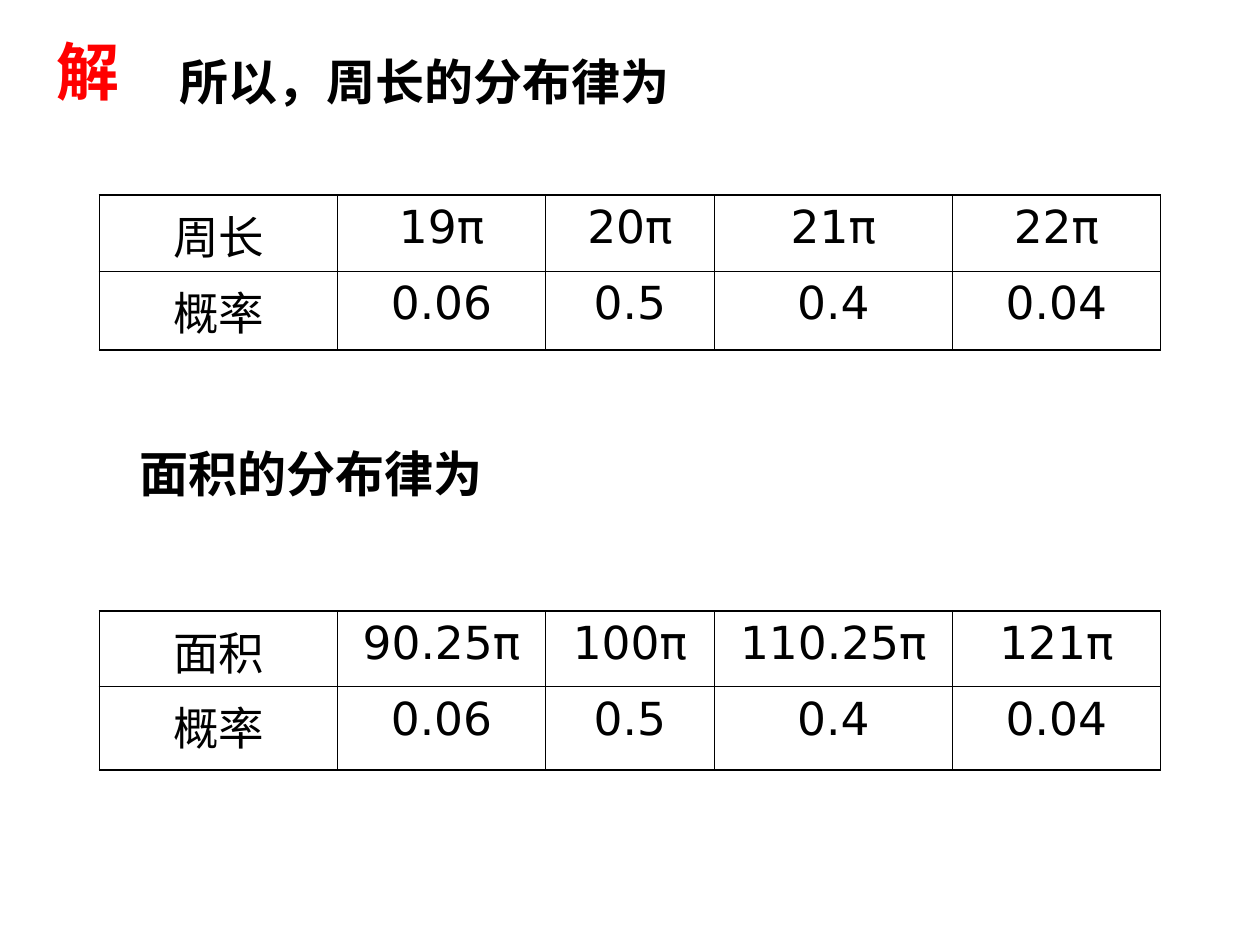
from pptx import Presentation
from pptx.dml.color import RGBColor
from pptx.enum.text import MSO_AUTO_SIZE, PP_ALIGN
from pptx.oxml import parse_xml
from pptx.oxml.ns import nsdecls
from pptx.util import Inches, Pt


def add_run(p, text, size, font, color="000000", bold=False):
    r = p.add_run()
    r.text = text
    r.font.size = Pt(size)
    r.font.bold = bold
    r.font.name = font
    r.font.color.rgb = RGBColor.from_string(color)
    r.font._element.append(parse_xml(
        f'<a:ea {nsdecls("a")} typeface="Noto Sans CJK SC"/>'))


def add_border(cell, i, side, width):
    cell._tc.get_or_add_tcPr().insert(i, parse_xml(
        f'<a:ln{side} {nsdecls("a")} w="{Pt(width)}"><a:solidFill>'
        f'<a:srgbClr val="000000"/></a:solidFill></a:ln{side}>'))


prs = Presentation()
prs.slide_width, prs.slide_height = Inches(10), Inches(7.5)
s = prs.slides.add_slide(prs.slide_layouts[6])

texts = [
    ("解", 0.35, 0.21, 0.79, 0.7, 36, "Noto Sans CJK SC", "FF0000", True),
    ("所以，周长的分布律为", 1.33, 0.36, 4.26, 0.57, 28, "Arial", "000000", False),
    ("面积的分布律为", 1.01, 3.47, 3.09, 0.57, 28, "Arial", "000000", False),
]
for text, x, y, w, h, size, font, color, wrap in texts:
    tf = s.shapes.add_textbox(Inches(x), Inches(y), Inches(w), Inches(h)).text_frame
    tf.word_wrap = wrap
    tf.auto_size = MSO_AUTO_SIZE.SHAPE_TO_FIT_TEXT
    add_run(tf.paragraphs[0], text, size, font, color, True)

col_widths = [1.89, 1.65, 1.34, 1.89, 1.65]
probabilities = ["概率", "0.06", "0.5", "0.4", "0.04"]
tables = [
    (1.55, [0.6, 0.63], ["周长", "19π", "20π", "21π", "22π"]),
    (4.85, [0.6, 0.66], ["面积", "90.25π", "100π", "110.25π", "121π"]),
]
for top, row_heights, values in tables:
    rows = [values, probabilities]
    tbl = s.shapes.add_table(
        len(rows), len(col_widths), Inches(0.79), Inches(top),
        Inches(sum(col_widths)), Inches(sum(row_heights))).table
    tbl.first_row = tbl.horz_banding = False
    for col, w in zip(tbl.columns, col_widths):
        col.width = Inches(w)
    for row, h in zip(tbl.rows, row_heights):
        row.height = Inches(h)
    for i, row in enumerate(rows):
        for j, text in enumerate(row):
            cell = tbl.cell(i, j)
            cell.fill.background()
            outer = {"L": j == 0, "R": j == len(row) - 1,
                     "T": i == 0, "B": i == len(rows) - 1}
            for k, (side, is_outer) in enumerate(outer.items()):
                add_border(cell, k, side, 1.08 if is_outer else 0.45)
            p = cell.text_frame.paragraphs[0]
            p.alignment = PP_ALIGN.CENTER
            add_run(p, text, 26, "DejaVu Sans")

prs.save("out.pptx")
